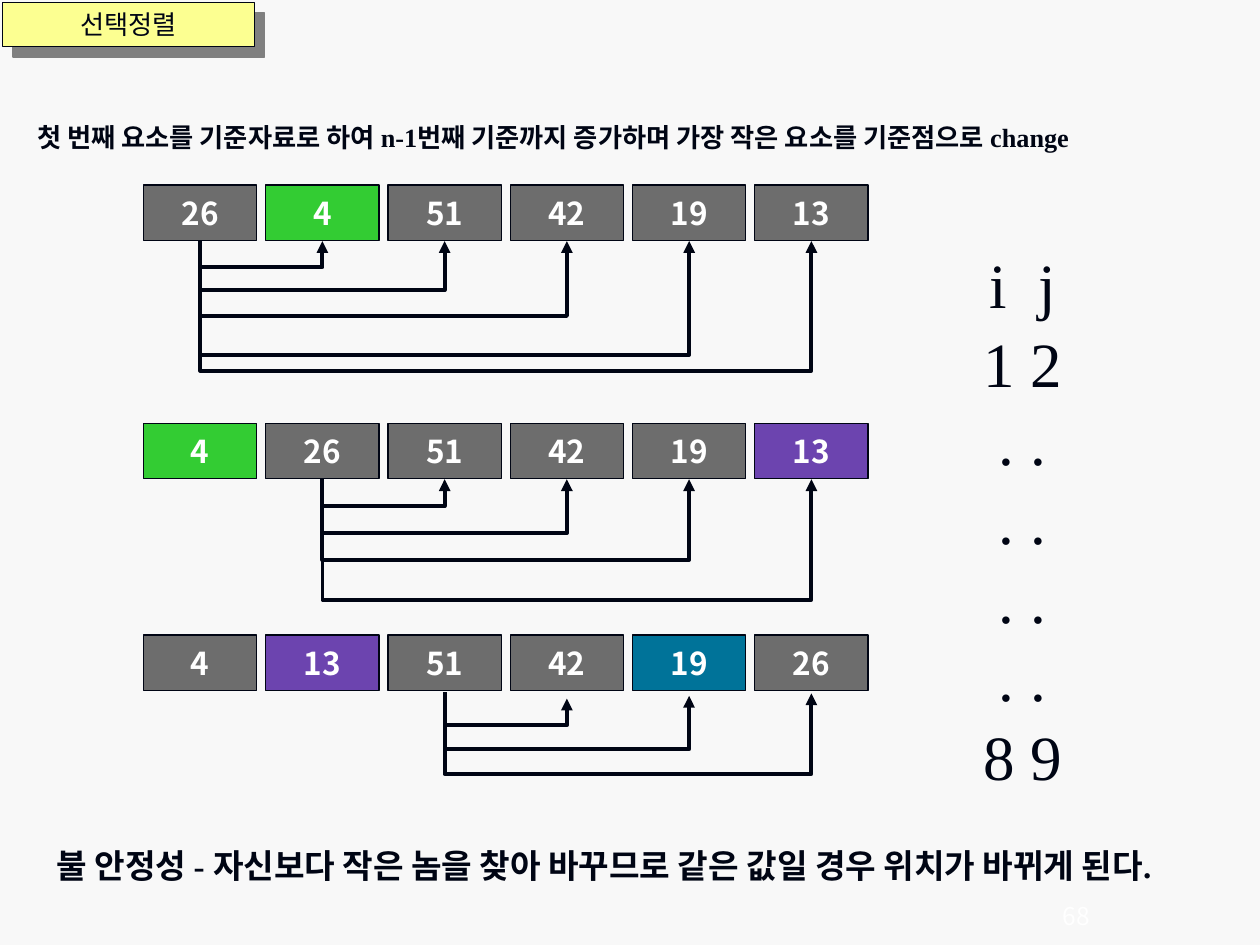
from lxml.etree import SubElement
from pptx import Presentation
from pptx.dml.color import RGBColor
from pptx.enum.shapes import MSO_CONNECTOR, MSO_SHAPE
from pptx.enum.text import MSO_ANCHOR, PP_ALIGN
from pptx.oxml.ns import qn
from pptx.util import Pt

COLORS = {
    "bg": "F8F8F8", "ink": "000514", "white": "FFFFFF", "title": "FCFF91",
    "shadow": "808080", "gray": "6D6D6D", "green": "33CC33",
    "purple": "6C44AF", "teal": "007399",
}
KOREAN = "Noto Sans CJK KR"
SERIF = "Times New Roman"
LEFT, PITCH, CELL_W, CELL_H = 82, 69.85, 64.8, 31.7
SKEW = 0.57

ROWS = [
    (105.8, [26, 4, 51, 42, 19, 13], {1: "green"}),
    (241.9, [4, 26, 51, 42, 19, 13], {0: "green", 5: "purple"}),
    (362.9, [4, 13, 51, 42, 19, 26], {1: "purple", 4: "teal"}),
]
ARROWS = [
    (0, [(137.5, 15.6), (137.5, 28.8), (137.5, 43.6), (137.5, 65.9), (137.5, 75.1)]),
    (1, [(273.6, 16.1), (273.6, 31.5), (273.6, 47), (273.6, 69.8)]),
    (2, [(399, 15.9), (397.4, 31.2), (396, 46.9)]),
]


def rgb(name):
    return RGBColor.from_string(COLORS[name])


def set_text(s, text, size, font, color="ink", bold=False,
             align=PP_ALIGN.CENTER, wrap=False, spacing=None):
    tf = s.text_frame
    tf.text = text
    tf.word_wrap = wrap
    tf.vertical_anchor = MSO_ANCHOR.MIDDLE
    for p in tf.paragraphs:
        p.alignment = align
        if spacing:
            p.line_spacing = spacing
        for r in p.runs:
            r.font.size = Pt(size)
            r.font.name = font
            r.font.bold = bold
            r.font.color.rgb = rgb(color)
            ea = SubElement(r.font._element, qn("a:ea"))
            ea.set("typeface", KOREAN)


def add_label(slide, x, y, w, h, text, size, font=SERIF, **style):
    s = slide.shapes.add_textbox(Pt(x), Pt(y), Pt(w), Pt(h))
    set_text(s, text, size, font, **style)


def add_box(slide, x, y, w, h, fill):
    s = slide.shapes.add_shape(MSO_SHAPE.RECTANGLE, Pt(x), Pt(y), Pt(w), Pt(h))
    s.shadow.inherit = False
    s.fill.solid()
    s.fill.fore_color.rgb = rgb(fill)
    s.line.color.rgb = rgb("ink")
    s.line.width = Pt(0.75)
    return s


def add_title(slide, text):
    s = add_box(slide, 1.4, 1.4, 144, 25.2, "title")
    effects = s._element.spPr.find(qn("a:effectLst"))
    shadow = SubElement(effects, qn("a:outerShdw"), dist=str(Pt(8.5)),
                        dir="2700000", algn="ctr", rotWithShape="0")
    SubElement(shadow, qn("a:srgbClr"), val=COLORS["shadow"])
    set_text(s, text, 15, "Arial", wrap=True)


def add_row(slide, y, values, highlights):
    for i, value in enumerate(values):
        s = add_box(slide, LEFT + i * PITCH, y, CELL_W, CELL_H,
                    highlights.get(i, "gray"))
        set_text(s, str(value), 18, KOREAN, color="white", bold=True)


def add_compare_arrow(slide, first, last, y, drop):
    span = (last - first) * PITCH
    mid = LEFT + CELL_W / 2 + (first + last) / 2 * PITCH
    s = slide.shapes.add_connector(
        MSO_CONNECTOR.ELBOW, Pt(mid + SKEW / 2), Pt(y - span / 2),
        Pt(mid - SKEW / 2), Pt(y + span / 2))
    s.line.color.rgb = rgb("ink")
    s.line.width = Pt(2.25)
    sp = s._element.spPr
    sp.find(qn("a:xfrm")).set("rot", "16200000")
    guides = sp.find(qn("a:prstGeom")).get_or_add_avLst()
    SubElement(guides, qn("a:gd"), name="adj1",
               fmla=f"val {round(drop / SKEW * 100000)}")
    SubElement(sp.find(qn("a:ln")), qn("a:tailEnd"), type="triangle")
    SubElement(sp, qn("a:effectLst"))


def main():
    prs = Presentation()
    prs.slide_width, prs.slide_height = Pt(720), Pt(540)
    slide = prs.slides.add_slide(prs.slide_layouts[6])
    slide.background.fill.solid()
    slide.background.fill.fore_color.rgb = rgb("bg")

    add_title(slide, "선택정렬")
    for y, values, highlights in ROWS:
        add_row(slide, y, values, highlights)
    for first, levels in ARROWS:
        for step, (y, drop) in enumerate(levels, 1):
            add_compare_arrow(slide, first, first + step, y, drop)

    add_label(slide, -5.8, 65.5, 643.7, 25.2,
              "첫 번째 요소를 기준자료로 하여 n-1번째 기준까지 증가하며 "
              "가장 작은 요소를 기준점으로 change", 15, bold=True)
    counters = ["i  j", "1 2"] + [". ."] * 4 + ["8 9"]
    add_label(slide, 554.4, 139.7, 59.8, 312.5, "\n".join(counters), 36, spacing=1.04)
    add_label(slide, 25.2, 479.5, 689.8, 30.2,
              "불 안정성 - 자신보다 작은 놈을 찾아 바꾸므로 같은 값일 경우 "
              "위치가 바뀌게 된다.", 19, bold=True, align=PP_ALIGN.LEFT)
    add_label(slide, 594, 511, 42, 24, "68", 14, font=KOREAN, color="white")
    prs.save("out.pptx")


if __name__ == "__main__":
    main()
